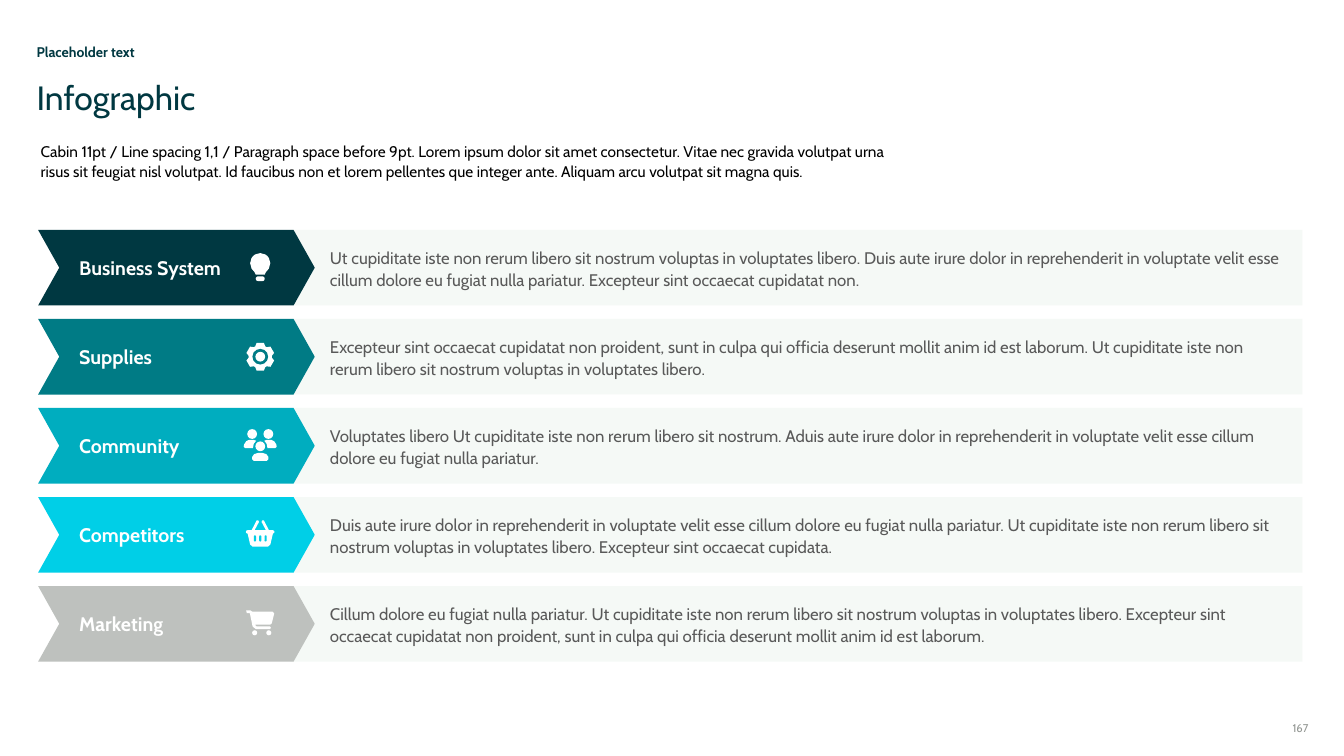
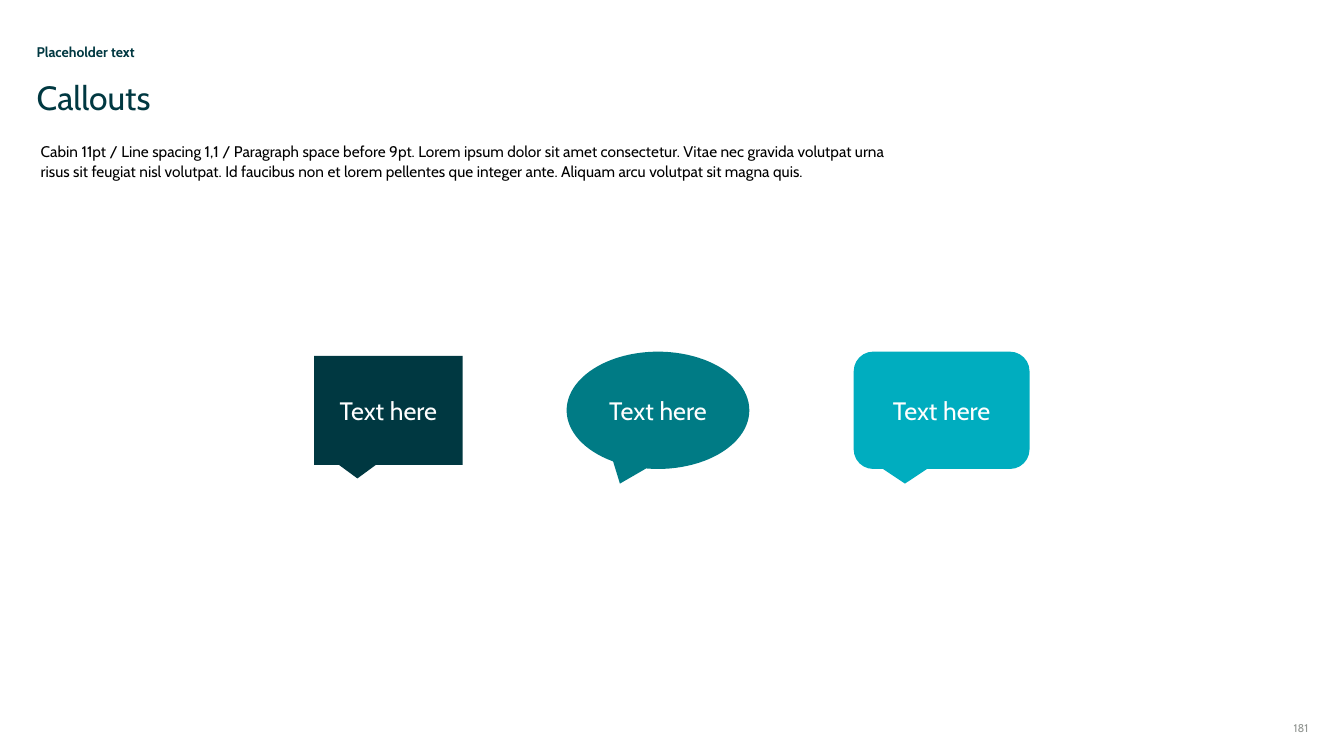
import math

from pptx import Presentation
from pptx.dml.color import RGBColor
from pptx.enum import shapes as kinds, text as txt
from pptx.util import Pt

FONT = "Cabin"
INK, TEAL, AQUA, CYAN, GREY = "003841", "007B85", "00ADBF", "00CFE7", "BEC1BE"
WHITE, BLACK, PALE, BODY, FOOT = "FFFFFF", "000000", "F5F9F6", "595959", "939793"
LEFT, TOP, STEP, HIGH = 27.2, 164.2, 63.6, 54
ICON = 185.9
SHAPE = kinds.MSO_SHAPE
ALIGN = txt.PP_ALIGN
ANCHOR = txt.MSO_ANCHOR
INTRO = (
    "Cabin 11pt / Line spacing 1,1 / Paragraph space before 9pt. Lorem ipsum dolor sit amet "
    "consectetur. Vitae nec gravida volutpat urna risus sit feugiat nisl volutpat. Id faucibus "
    "non et lorem pellentes que integer ante. Aliquam arcu volutpat sit magna quis."
)


def tint(code):
    """Turn a hex string into a colour."""
    return RGBColor.from_string(code)


def paint(shape, fill):
    """Give a shape a plain fill without line or shadow."""
    shape.shadow.inherit = False
    shape.fill.solid()
    shape.fill.fore_color.rgb = tint(fill)
    shape.line.fill.background()
    return shape


def write(shape, words, size=11, color=BLACK, bold=False, align=ALIGN.LEFT,
          anchor=ANCHOR.TOP, pads=(0, 0, 0, 0), lead=1.0):
    """Put formatted text into a shape."""
    frame = shape.text_frame
    frame.word_wrap = True
    frame.vertical_anchor = anchor
    (frame.margin_left, frame.margin_top,
     frame.margin_right, frame.margin_bottom) = map(Pt, pads)
    para = frame.paragraphs[0]
    para.text = words
    para.alignment = align
    para.line_spacing = lead
    para.font.name = FONT
    para.font.size = Pt(size)
    para.font.bold = bold
    para.font.color.rgb = tint(color)


def label(slide, box, words, **style):
    """Add a text box."""
    write(slide.shapes.add_textbox(*map(Pt, box)), words, **style)


def block(slide, kind, box, fill):
    """Add a filled preset shape."""
    return paint(slide.shapes.add_shape(kind, *map(Pt, box)), fill)


def frame(deck, title, page):
    """Add a slide with the shared heading, intro and page number."""
    slide = deck.slides.add_slide(deck.slide_layouts[6])
    label(slide, (26.2, 32.4, 908, 11), "Placeholder text",
          size=10, color=INK, bold=True, lead=0.9)
    label(slide, (26.2, 58.3, 908, 26.6), title, size=24, color=INK, lead=0.9)
    label(slide, (26.2, 100.1, 625, 29), INTRO, pads=(2.9, 0, 0, 0), lead=1.1)
    label(slide, (880.6, 515.5, 54, 10.8), page, size=8, color=FOOT, align=ALIGN.RIGHT)
    return slide


class Icon:
    """Draw white icon parts around a centre point."""

    def __init__(self, slide, mid, back):
        """Keep the slide, the centre height and the colour behind."""
        self.slide, self.mid, self.back = slide, mid, back

    def poly(self, pts):
        """Draw a closed outline."""
        spots = [(Pt(ICON + x), Pt(self.mid + y)) for x, y in pts]
        pen = self.slide.shapes.build_freeform(*spots[0])
        pen.add_line_segments(spots[1:], close=True)
        paint(pen.convert_to_shape(), WHITE)

    def twin(self, pts):
        """Draw an outline and its mirror image."""
        self.poly(pts)
        self.poly([(-x, y) for x, y in pts])

    def dot(self, x, y, r, fill=WHITE):
        """Draw a disc."""
        block(self.slide, SHAPE.OVAL, (ICON + x - r, self.mid + y - r, 2 * r, 2 * r), fill)

    def pill(self, x, y, w, h, fill=WHITE):
        """Draw a bar with round ends, centred across x."""
        bar = block(self.slide, SHAPE.ROUNDED_RECTANGLE,
                    (ICON + x - w / 2, self.mid + y, w, h), fill)
        bar.adjustments[0] = 0.5


def bulb(icon):
    """Draw a light bulb."""
    icon.dot(0, -3.2, 7.2)
    icon.poly([(-6.2, 0.4), (6.2, 0.4), (4.2, 3), (3.2, 5), (-3.2, 5), (-4.2, 3)])
    icon.pill(0, 6.2, 6.4, 3.4)


def gear(icon):
    """Draw a cogwheel with six teeth."""
    tooth = [(-3.6, -7.4), (-2.6, -9.9), (2.6, -9.9), (3.6, -7.4)]
    pts = []
    for turn in range(6):
        c, s = math.cos(turn * math.pi / 3), math.sin(turn * math.pi / 3)
        pts += [(x * c - y * s, x * s + y * c) for x, y in tooth]
    icon.poly(pts)
    icon.dot(0, 0, 5.6, icon.back)
    icon.dot(0, 0, 3.5)


def crowd(icon):
    """Draw three people."""
    for x, y in ((-5.8, -8.4), (5.8, -8.4), (0, 0.4)):
        icon.dot(x, y, 3.5)
    icon.twin([(2.9, -3.6), (4.8, -4.2), (8, -4.2), (10, -3.2), (11.5, -1),
               (11.8, 0.8), (10.8, 1.6), (5.2, 1.6), (4.6, -1.4)])
    icon.poly([(-5.8, 8), (-4.4, 6), (-1.5, 5.1), (1.5, 5.1), (4.4, 6), (5.8, 8),
               (5.8, 9.6), (4.6, 10.8), (-4.6, 10.8), (-5.8, 9.6)])


def basket(icon):
    """Draw a shopping basket."""
    icon.twin([(-6.3, -3), (-2.6, -10.2), (-1.4, -10.2), (-0.9, -9.2), (-4.2, -3)])
    icon.pill(0, -3.3, 20.4, 2.4)
    icon.poly([(-9.2, -1.6), (9.2, -1.6), (7.2, 7), (5.5, 8.4), (-5.5, 8.4), (-7.2, 7)])
    for x in (-3.8, 0, 3.8):
        icon.pill(x, 0.4, 1.5, 4.4, icon.back)


def cart(icon):
    """Draw a shopping cart."""
    icon.poly([(-10, -9.6), (-7, -9.6), (-5.8, -8.8), (8.8, -8.8), (10, -7.4), (8.3, -0.4),
               (7.2, 0.5), (-3.8, 0.5), (-2.6, 1.9), (7, 1.9), (7.6, 2.8), (7, 3.8),
               (-3, 3.8), (-5.4, 2), (-7.4, -7.7), (-9.6, -7.7)])
    for x in (-4, 6.1):
        icon.dot(x, 6.4, 1.8)


ROWS = [
    ("Business System", INK, bulb,
     "Ut cupiditate iste non rerum libero sit nostrum voluptas in voluptates libero. Duis aute "
     "irure dolor in reprehenderit in voluptate velit esse cillum dolore eu fugiat nulla "
     "pariatur. Excepteur sint occaecat cupidatat non."),
    ("Supplies", TEAL, gear,
     "Excepteur sint occaecat cupidatat non proident, sunt in culpa qui officia deserunt mollit "
     "anim id est laborum. Ut cupiditate iste non rerum libero sit nostrum voluptas in "
     "voluptates libero."),
    ("Community", AQUA, crowd,
     "Voluptates libero Ut cupiditate iste non rerum libero sit nostrum. Aduis aute irure dolor "
     "in reprehenderit in voluptate velit esse cillum dolore eu fugiat nulla pariatur."),
    ("Competitors", CYAN, basket,
     "Duis aute irure dolor in reprehenderit in voluptate velit esse cillum dolore eu fugiat "
     "nulla pariatur. Ut cupiditate iste non rerum libero sit nostrum voluptas in voluptates "
     "libero. Excepteur sint occaecat cupidata."),
    ("Marketing", GREY, cart,
     "Cillum dolore eu fugiat nulla pariatur. Ut cupiditate iste non rerum libero sit nostrum "
     "voluptas in voluptates libero. Excepteur sint occaecat cupidatat non proident, sunt in "
     "culpa qui officia deserunt mollit anim id est laborum."),
]

CALLS = [
    (SHAPE.RECTANGULAR_CALLOUT, (224.4, 254.2, 106, 77.8), INK),
    (SHAPE.OVAL_CALLOUT, (404.8, 251.2, 130.5, 83.8), TEAL),
    (SHAPE.ROUNDED_RECTANGULAR_CALLOUT, (609.8, 251.2, 125.6, 83.8), AQUA),
]


def row(slide, top, name, fill, draw, words):
    """Add a band with its arrow, heading and icon."""
    band = block(slide, SHAPE.RECTANGLE, (207.4, top, 722.8, HIGH), PALE)
    write(band, words, size=12, color=BODY, anchor=ANCHOR.MIDDLE,
          pads=(28.3, 5.7, 14.2, 5.7), lead=1.1)
    arrow = block(slide, SHAPE.CHEVRON, (LEFT, top, 197.6, HIGH), fill)
    arrow.adjustments[0] = 0.28
    write(arrow, name, size=14, color=WHITE, bold=True, anchor=ANCHOR.MIDDLE,
          pads=(14.2, 2.8, 2.8, 2.8))
    draw(Icon(slide, top + HIGH / 2, fill))


def main():
    """Build and save both slides."""
    deck = Presentation()
    deck.slide_width, deck.slide_height = Pt(960), Pt(540)
    slide = frame(deck, "Infographic", "167")
    for place, item in enumerate(ROWS):
        row(slide, TOP + place * STEP, *item)
    slide = frame(deck, "Callouts", "181")
    for kind, box, fill in CALLS:
        write(block(slide, kind, box, fill), "Text here", size=18, color=WHITE,
              align=ALIGN.CENTER, anchor=ANCHOR.MIDDLE, pads=(7.2, 3.6, 7.2, 3.6))
    deck.save("out.pptx")


if __name__ == "__main__":
    main()
